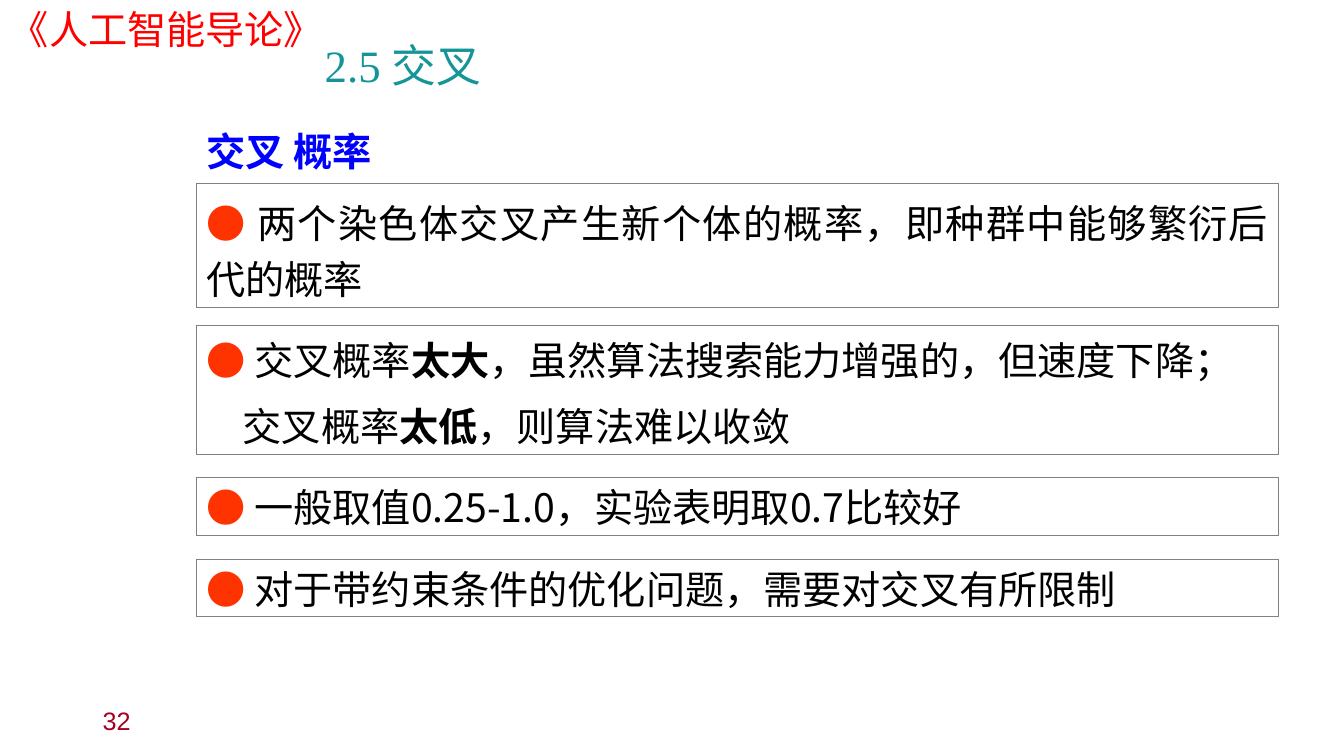
from pptx import Presentation
from pptx.dml.color import RGBColor
from pptx.enum.shapes import MSO_SHAPE
from pptx.enum.text import MSO_ANCHOR, MSO_AUTO_SIZE, PP_ALIGN
from pptx.oxml.ns import qn
from pptx.util import Inches, Pt
from lxml.etree import SubElement

COLORS = {
    "course": "FF0000", "title": "159598", "head": "0000FF", "dot": "FF3300",
    "text": "000000", "line": "808080", "fill": "FFFFFF", "page": "A50021",
}
CJK = "Noto Sans CJK SC"


def color(name):
    return RGBColor.from_string(COLORS[name])


def add_run(para, text, font=CJK, size=28, tint="text", bold=False):
    run = para.add_run()
    run.text = text
    run.font.name = font
    run.font.size = Pt(size)
    run.font.bold = bold
    run.font.color.rgb = color(tint)
    SubElement(run.font._element, qn("a:ea")).set("typeface", CJK)


def set_frame(shape, anchor, wrap=True):
    frame = shape.text_frame
    frame.auto_size = MSO_AUTO_SIZE.NONE
    frame.word_wrap = wrap
    frame.vertical_anchor = anchor
    return frame


def add_label(slide, box, text, anchor=MSO_ANCHOR.TOP, wrap=True, **style):
    shape = slide.shapes.add_textbox(*map(Inches, box))
    frame = set_frame(shape, anchor, wrap)
    add_run(frame.paragraphs[0], text, **style)


def add_title(slide, box, text):
    title = slide.shapes.title
    title.left, title.top, title.width, title.height = map(Inches, box)
    frame = set_frame(title, MSO_ANCHOR.MIDDLE)
    frame.margin_left = frame.margin_right = Inches(0.04)
    frame.margin_top = frame.margin_bottom = Inches(0.04)
    para = frame.paragraphs[0]
    para.alignment = PP_ALIGN.LEFT
    para.line_spacing = 1.6
    add_run(para, text, font="Times New Roman", size=32, tint="title")


def add_point(slide, box, lines, spacing=1.0):
    """Framed point; each line is a list of parts, every second part bold."""
    shape = slide.shapes.add_shape(MSO_SHAPE.RECTANGLE, *map(Inches, box))
    shape.shadow.inherit = False
    shape.fill.solid()
    shape.fill.fore_color.rgb = color("fill")
    shape.line.color.rgb = color("line")
    shape.line.width = Pt(0.75)
    frame = set_frame(shape, MSO_ANCHOR.BOTTOM)
    for row, parts in enumerate(lines):
        para = frame.add_paragraph() if row else frame.paragraphs[0]
        para.alignment = PP_ALIGN.JUSTIFY
        para.line_spacing = spacing
        if row:
            para.space_before = Pt(14)
            para._p.get_or_add_pPr().set("marL", str(Inches(0.36)))
        else:
            add_run(para, "● ", font="Arial", tint="dot", bold=True)
        for i, part in enumerate(parts):
            add_run(para, part, bold=i % 2 == 1)


def add_points(slide, left, width):
    points = [
        (1.82, 1.23, 1.2,
         [["两个染色体交叉产生新个体的概率，即种群中能够繁衍后代的概率"]]),
        (3.23, 1.28, 1.0,
         [["交叉概率", "太大", "，虽然算法搜索能力增强的，但速度下降；"],
          ["交叉概率", "太低", "，则算法难以收敛"]]),
        (4.74, 0.57, 1.0, [["一般取值0.25-1.0，实验表明取0.7比较好"]]),
        (5.55, 0.57, 1.0, [["对于带约束条件的优化问题，需要对交叉有所限制"]]),
    ]
    for top, height, spacing, lines in points:
        add_point(slide, (left, top, width, height), lines, spacing)


def main():
    deck = Presentation()
    deck.slide_width, deck.slide_height = Inches(13.33), Inches(7.5)
    slide = deck.slides.add_slide(deck.slide_layouts[5])
    add_label(slide, (0, 0, 5.51, 0.57), "《人工智能导论》",
              font="Calibri", tint="course")
    add_title(slide, (3.18, -0.3, 5.73, 1.56), "2.5 交叉")
    add_label(slide, (1.95, 1.21, 1.87, 0.57), "交叉 概率",
              anchor=MSO_ANCHOR.BOTTOM, wrap=False,
              font="Times New Roman", tint="head", bold=True)
    add_points(slide, 1.95, 10.73)
    add_label(slide, (0.92, 6.95, 3, 0.4), "32", anchor=MSO_ANCHOR.MIDDLE,
              font="Arial", size=18, tint="page")
    deck.save("out.pptx")


if __name__ == "__main__":
    main()
